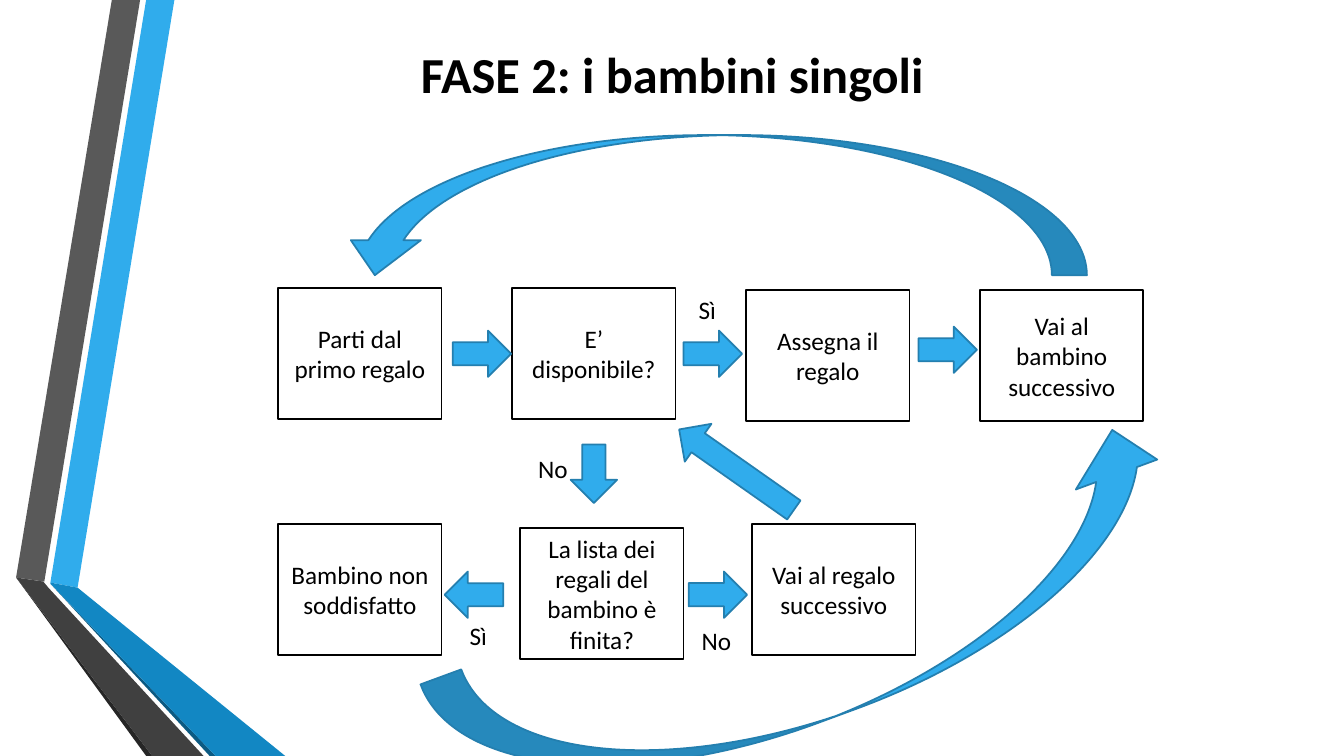
from pptx import Presentation
from pptx.dml.color import RGBColor
from pptx.enum import shapes, text
from pptx.util import Inches, Pt

BLACK = RGBColor(0x00, 0x00, 0x00)
WHITE = RGBColor(0xFF, 0xFF, 0xFF)
BLUE = RGBColor(0x30, 0xAC, 0xEC)
EDGE = RGBColor(0x24, 0x7F, 0xAF)
DEEP = RGBColor(0x12, 0x87, 0xC3)
NAVY = RGBColor(0x0C, 0x5A, 0x82)
GREY = RGBColor(0x59, 0x59, 0x59)
DARK = RGBColor(0x40, 0x40, 0x40)
COAL = RGBColor(0x26, 0x26, 0x26)

FONT = "Calibri"
KIND = shapes.MSO_SHAPE
MID = text.MSO_ANCHOR.MIDDLE
CENTER = text.PP_ALIGN.CENTER
LEFT = text.PP_ALIGN.LEFT

# Ribbon facets: fill and corner points
RIBBON = [
    (BLUE, [(0.5, 5.78), (0.77, 5.83), (1.73, 0), (1.45, 0)]),
    (GREY, [(1.39, 0), (1.11, 0), (0.16, 5.73), (0.44, 5.77)]),
    (COAL, [(0.16, 5.73), (1.45, 7.5), (1.51, 7.5)]),
    (NAVY, [(0.5, 5.79), (2.08, 7.5), (2.14, 7.5)]),
    (DEEP, [(0.5, 5.79), (2.14, 7.5), (2.83, 7.5), (0.77, 5.83), (0.5, 5.78)]),
    (DARK, [(2.02, 7.5), (0.48, 5.83), (0.43, 5.77), (0.16, 5.73), (1.51, 7.5)]),
]

# Flow steps: left, top, wording
STEPS = [
    (2.76, 2.86, "Parti dal primo regalo"),
    (5.08, 2.86, "E’ disponibile?"),
    (7.4, 2.88, "Assegna il regalo"),
    (9.72, 2.88, "Vai al bambino successivo"),
    (2.76, 5.2, "Bambino non soddisfatto"),
    (5.16, 5.24, "La lista dei regali del bambino è finita?"),
    (7.46, 5.2, "Vai al regalo successivo"),
]

# Short arrows: left, top, turn
SHORT = [
    (4.49, 3.28, 0),
    (6.78, 3.28, 0),
    (9.11, 3.24, 0),
    (4.41, 5.67, 180),
    (6.83, 5.67, 0),
    (5.6, 4.47, 90),
]

# Answers: left, top, width, wording
ANSWERS = [
    (4.56, 6.1, 0.42, "Sì"),
    (6.83, 2.87, 0.42, "Sì"),
    (6.86, 6.15, 0.6, "No"),
    (5.24, 4.45, 0.6, "No"),
]


def paint(shape, fill, line=None):
    shape.shadow.inherit = False
    shape.fill.solid()
    shape.fill.fore_color.rgb = fill
    if line is None:
        shape.line.fill.background()
    else:
        shape.line.color.rgb = line
        shape.line.width = Pt(1.25)


def write(shape, words, size=18, bold=False, align=CENTER):
    frame = shape.text_frame
    frame.text = words
    frame.word_wrap = True
    para = frame.paragraphs[0]
    para.alignment = align
    font = para.runs[0].font
    font.name, font.size, font.bold = FONT, Pt(size), bold
    font.color.rgb = BLACK
    return frame


def facet(slide, fill, points):
    pts = [(Inches(x), Inches(y)) for x, y in points]
    pen = slide.shapes.build_freeform(*pts[0])
    pen.add_line_segments(pts[1:], close=True)
    paint(pen.convert_to_shape(), fill)


def step(slide, left, top, words):
    box = slide.shapes.add_shape(
        KIND.RECTANGLE, Inches(left), Inches(top), Inches(1.62), Inches(1.3))
    paint(box, WHITE, BLACK)
    write(box, words).vertical_anchor = MID


def arrow(slide, left, top, turn, width=0.58, height=0.46, kind=KIND.RIGHT_ARROW):
    shape = slide.shapes.add_shape(
        kind, Inches(left), Inches(top), Inches(width), Inches(height))
    shape.rotation = turn
    paint(shape, BLUE, EDGE)


def label(slide, left, top, width, words, height=0.4, **style):
    box = slide.shapes.add_textbox(
        Inches(left), Inches(top), Inches(width), Inches(height))
    return write(box, words, **style)


def main():
    deck = Presentation()
    deck.slide_width, deck.slide_height = Inches(13.33), Inches(7.5)
    slide = deck.slides.add_slide(deck.slide_layouts[6])

    # Side ribbon
    for fill, points in RIBBON:
        facet(slide, fill, points)

    # Title
    title = label(slide, 0.92, 0, 11.5, "FASE 2: i bambini singoli",
                  height=1.45, size=36, bold=True)
    title.vertical_anchor = MID

    # Flow chart
    for item in STEPS:
        step(slide, *item)
    for item in SHORT:
        arrow(slide, *item)
    for item in ANSWERS:
        label(slide, *item, align=LEFT)

    # Return paths
    arrow(slide, 6.61, 4.43, 215.1, width=1.39)
    arrow(slide, 3.37, 1.34, 180, 7.41, 1.39, KIND.CURVED_UP_ARROW)
    arrow(slide, 4.23, 5.4, 339.8, 7.74, 1.72, KIND.CURVED_UP_ARROW)

    deck.save("out.pptx")


if __name__ == "__main__":
    main()
